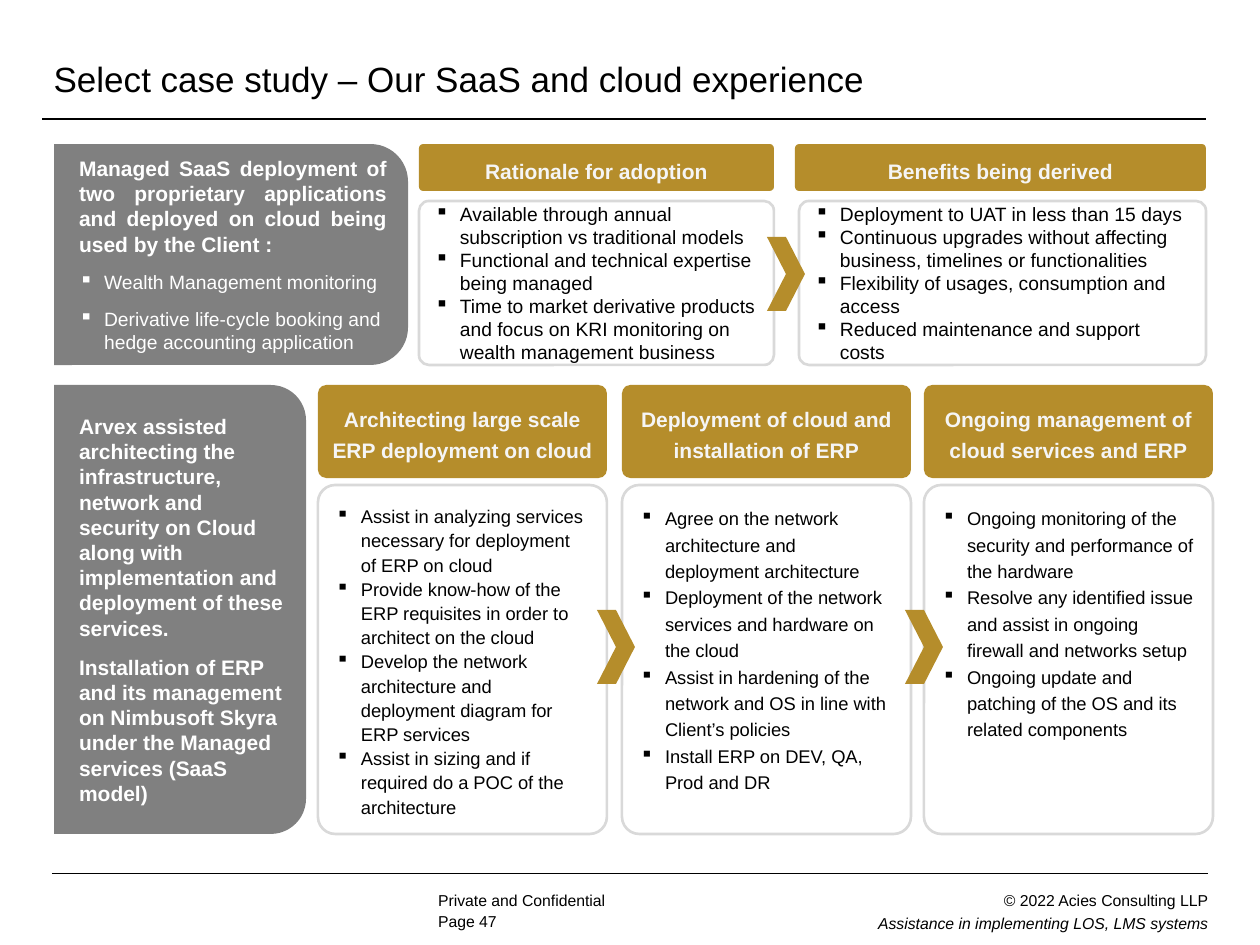
from dataclasses import dataclass

from lxml.etree import SubElement
from pptx import Presentation
from pptx.dml.color import RGBColor
from pptx.enum.shapes import MSO_CONNECTOR, MSO_SHAPE
from pptx.enum.text import MSO_ANCHOR, PP_ALIGN
from pptx.oxml import parse_xml
from pptx.oxml.ns import nsdecls, qn
from pptx.util import Emu, Pt

COLORS = {"black": "000000", "white": "FFFFFF", "gray": "808080",
          "gold": "B58D2B", "border": "D9D9D9", "heading": "F5F5F5"}
FONT = "Arial"
INDENT = 25  # px


@dataclass
class Box:
    left: int
    top: int
    width: int
    height: int


@dataclass
class Card:
    header: Box
    body: Box
    title: str
    bullets: list[str]
    size: float
    spacing: float = 1.0
    header_inset: int = 15
    anchor: MSO_ANCHOR = MSO_ANCHOR.MIDDLE


def px(length: float) -> Emu:
    return Emu(round(length * 914400 / 126))


def rgb(name: str) -> RGBColor:
    return RGBColor.from_string(COLORS[name])


def set_frame(frame, insets=(0, 0, 0, 0), anchor=MSO_ANCHOR.TOP) -> None:
    frame.word_wrap = True
    frame.vertical_anchor = anchor
    (frame.margin_left, frame.margin_top,
     frame.margin_right, frame.margin_bottom) = map(px, insets)


def add_text(frame, text: str, *, size: float, color="black", bold=False, italic=False,
             align=PP_ALIGN.LEFT, spacing=None, gap=0, bullet=False) -> None:
    """Write text into the first empty paragraph, or into a new one."""
    first = not frame.text
    paragraph = frame.paragraphs[0] if first else frame.add_paragraph()
    if bullet:
        properties = paragraph._p.get_or_add_pPr()
        properties.set("marL", str(px(INDENT)))
        properties.set("indent", str(-px(INDENT)))
        SubElement(properties, qn("a:buChar")).set("char", "▪")
    paragraph.alignment = align
    paragraph.line_spacing = spacing
    paragraph.space_before = Pt(0 if first else gap)
    paragraph.space_after = Pt(gap)
    run = paragraph.add_run()
    run.text = text
    font = run.font
    font.name, font.size, font.bold, font.italic = FONT, Pt(size), bold, italic
    font.color.rgb = rgb(color)


def add_box(slide, kind, box: Box, fill: str, line=None, adjustment=None):
    shape = slide.shapes.add_shape(kind, px(box.left), px(box.top), px(box.width), px(box.height))
    shape.shadow.inherit = False
    shape.fill.solid()
    shape.fill.fore_color.rgb = rgb(fill)
    if line:
        shape.line.color.rgb = rgb(line)
        shape.line.width = Pt(1.5)
    else:
        shape.line.fill.background()
    if adjustment is not None:
        shape.adjustments[0] = adjustment
    return shape


def add_panel(slide, box: Box, adjustment: float):
    """Grey panel with round right corners: a turned shape with upright text."""
    shift = (box.width - box.height) / 2
    turned = Box(box.left + shift, box.top - shift, box.height, box.width)
    shape = add_box(slide, MSO_SHAPE.ROUND_2_SAME_RECTANGLE, turned, "gray", adjustment=adjustment)
    shape.rotation = 90
    set_frame(shape.text_frame, (15, 10, 15, 25), MSO_ANCHOR.MIDDLE)
    shape.element.txBody.bodyPr.set("vert", "vert270")
    return shape.text_frame


def add_card(slide, card: Card) -> None:
    header = add_box(slide, MSO_SHAPE.ROUNDED_RECTANGLE, card.header, "gold", adjustment=0.09)
    inset = card.header_inset
    set_frame(header.text_frame, (inset, 6, inset, 6), MSO_ANCHOR.MIDDLE)
    add_text(header.text_frame, card.title, size=12, color="heading", bold=True,
             align=PP_ALIGN.CENTER, spacing=Pt(18))
    body = add_box(slide, MSO_SHAPE.ROUNDED_RECTANGLE, card.body, "white", "border", 0.06)
    set_frame(body.text_frame, (13, 13, 13, 13), card.anchor)
    for text in card.bullets:
        add_text(body.text_frame, text, size=card.size, spacing=card.spacing, bullet=True)


def add_label(slide, box: Box):
    label = slide.shapes.add_textbox(px(box.left), px(box.top), px(box.width), px(box.height))
    set_frame(label.text_frame)
    return label.text_frame


def add_title(slide, text: str) -> None:
    frame = slide.shapes.add_table(1, 1, px(41), px(42), px(1166), px(77))
    table = frame.table
    table.first_row = table.horz_banding = False
    cell = table.cell(0, 0)
    cell.fill.background()
    cell.vertical_anchor = MSO_ANCHOR.MIDDLE
    cell._tc.get_or_add_tcPr().insert(0, parse_xml(
        f'<a:lnB {nsdecls("a")} w="{Pt(1)}"><a:solidFill>'
        f'<a:srgbClr val="{COLORS["black"]}"/></a:solidFill></a:lnB>'))
    add_text(cell.text_frame, text, size=20)


def add_footer(slide) -> None:
    rule = slide.shapes.add_connector(MSO_CONNECTOR.STRAIGHT, px(52), px(873), px(1208), px(873))
    rule.line.color.rgb = rgb("black")
    rule.line.width = Pt(0.5)
    SubElement(rule.element.spPr, qn("a:effectLst"))
    add_text(add_label(slide, Box(438, 891, 223, 19)), "Private and Confidential", size=9)
    add_text(add_label(slide, Box(438, 912, 69, 14)), "Page 47", size=9)
    owner = add_label(slide, Box(624, 888, 584, 43))
    add_text(owner, "© 2022 Acies Consulting LLP", size=9, align=PP_ALIGN.RIGHT, spacing=1.14)
    add_text(owner, "Assistance in implementing LOS, LMS systems", size=9, italic=True,
             align=PP_ALIGN.RIGHT, spacing=1.2)


TOP_CARDS = [
    Card(Box(419, 144, 355, 47), Box(419, 201, 355, 164), "Rationale for adoption", [
        "Available through annual subscription vs traditional models",
        "Functional and technical expertise being managed",
        "Time to market derivative products and focus on KRI monitoring on "
        "wealth management business"], 11),
    Card(Box(795, 144, 411, 47), Box(799, 201, 407, 164), "Benefits being derived", [
        "Deployment to UAT in less than 15 days",
        "Continuous upgrades without affecting business, timelines or functionalities",
        "Flexibility of usages, consumption and access",
        "Reduced maintenance and support costs"], 11),
]

# Left edge, title, line spacing, header inset, bullets
STAGES = [
    (318, "Architecting large scale ERP deployment on cloud", 1.1, 0, [
        "Assist in analyzing services necessary for deployment of ERP on cloud",
        "Provide know-how of the ERP requisites in order to architect on the cloud",
        "Develop the network architecture and deployment diagram for ERP services",
        "Assist in sizing and if required do a POC of the architecture"]),
    (622, "Deployment of cloud and installation of ERP", 1.2, 15, [
        "Agree on the network architecture and deployment architecture",
        "Deployment of the network services and hardware on the cloud",
        "Assist in hardening of the network and OS in line with Client’s policies",
        "Install ERP on DEV, QA, Prod and DR"]),
    (924, "Ongoing management of cloud services and ERP", 1.2, 15, [
        "Ongoing monitoring of the security and performance of the hardware",
        "Resolve any identified issue and assist in ongoing firewall and networks setup",
        "Ongoing update and patching of the OS and its related components"]),
]
STAGE_CARDS = [
    Card(Box(left, 385, 289, 93), Box(left, 485, 289, 349), title, bullets, 10.5,
         spacing, inset, MSO_ANCHOR.TOP)
    for left, title, spacing, inset, bullets in STAGES
]
CHEVRONS = [(597, 610), (905, 610), (767, 237)]


def main() -> None:
    presentation = Presentation()
    presentation.slide_width, presentation.slide_height = px(1260), px(945)
    slide = presentation.slides.add_slide(presentation.slide_layouts[6])
    add_footer(slide)
    add_title(slide, "Select case study – Our SaaS and cloud experience")

    # Grey summary panels
    upper = add_panel(slide, Box(54, 144, 354, 221), 0.17)
    add_text(upper, "Managed SaaS deployment of two proprietary applications and deployed "
             "on cloud being used by the Client :", size=12, color="white", bold=True,
             align=PP_ALIGN.JUSTIFY, gap=4)
    for text in ("Wealth Management monitoring",
                 "Derivative life-cycle booking and hedge accounting application"):
        add_text(upper, text, size=11, color="white", gap=4, bullet=True)
    lower = add_panel(slide, Box(54, 385, 252, 449), 0.14)
    for text in ("Arvex assisted architecting the infrastructure, network and security on Cloud "
                 "along with implementation and deployment of these services.",
                 "Installation of ERP and its management on Nimbusoft Skyra under the Managed "
                 "services (SaaS model)"):
        add_text(lower, text, size=12, color="white", bold=True, gap=4)

    # Cards, then the chevrons between them
    for card in TOP_CARDS + STAGE_CARDS:
        add_card(slide, card)
    for left, top in CHEVRONS:
        add_box(slide, MSO_SHAPE.CHEVRON, Box(left, top, 38, 74), "gold")
    presentation.save("out.pptx")


if __name__ == "__main__":
    main()
